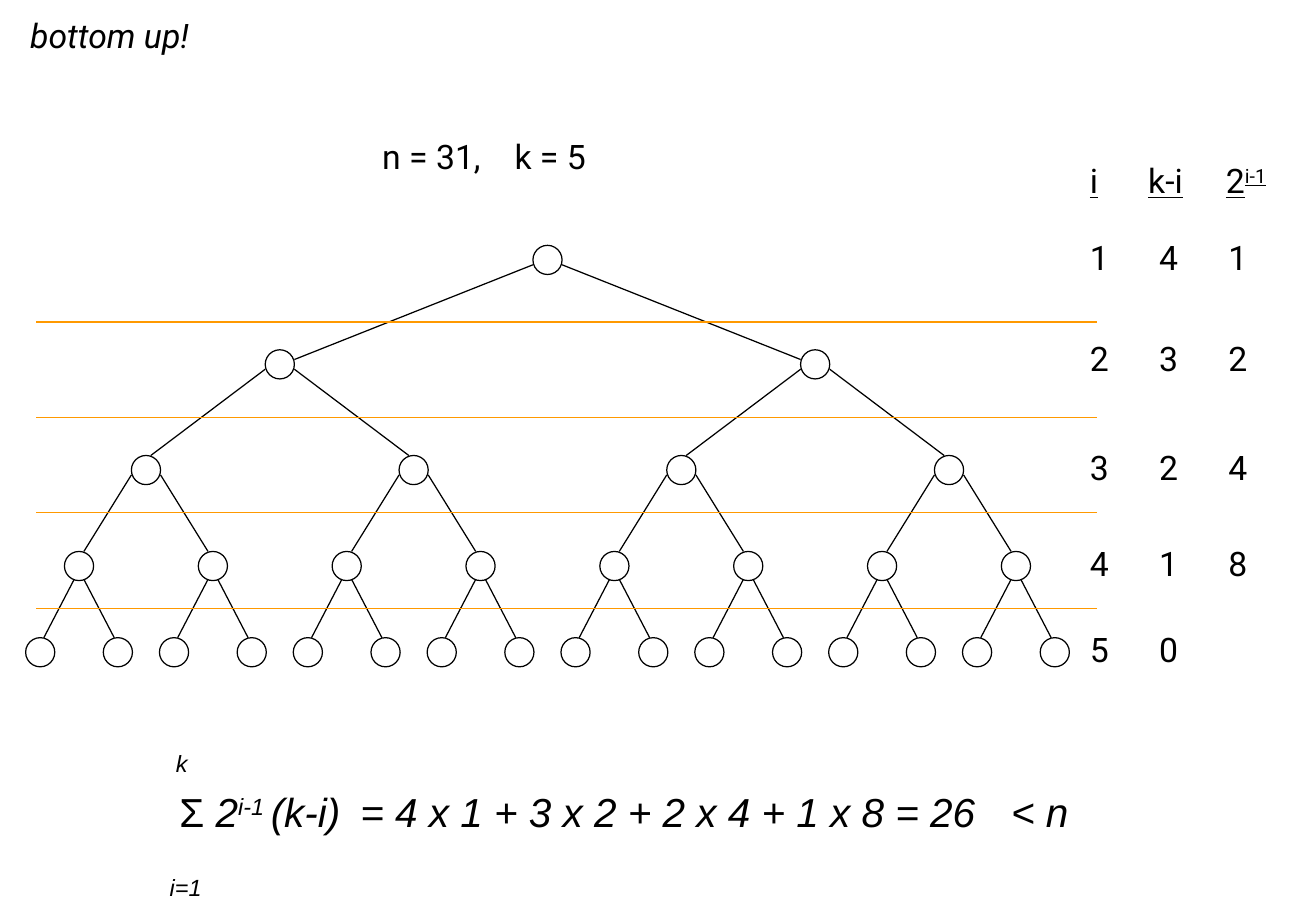
from dataclasses import dataclass

from lxml import etree
from pptx import Presentation, util as u
from pptx.dml.color import RGBColor
from pptx.enum import shapes, text
from pptx.oxml import ns

PX = 9144  # 100 px to the inch


@dataclass(frozen=True)
class Theme:
    ink: RGBColor = RGBColor(0, 0, 0)
    divider: RGBColor = RGBColor(0xFF, 0x99, 0x00)
    line_pt: float = 0.75
    body_font: str = "Roboto"
    formula_font: str = "Arial"
    body_pt: int = 20
    formula_pt: int = 24


@dataclass(frozen=True)
class Level:
    """One row of the tree; joints are offsets from a node's centre and top."""
    top: int
    exit_dx: int = 0
    exit_dy: int = 0
    enter_dx: int = 0
    enter_dy: int = 0


@dataclass(frozen=True)
class Run:
    words: str
    italic: bool = False
    underline: bool = False
    baseline: int = 0


@dataclass(frozen=True)
class Para:
    runs: tuple[Run, ...]
    tabs: tuple[int, ...] = ()
    before_pt: int = 0


@dataclass(frozen=True)
class Box:
    left: int
    top: int
    width: int
    height: int
    paras: tuple[Para, ...]
    font: str
    size: int


THEME = Theme()
NODE = 24
ROOT_X, TREE_SPAN, LEAF_DX = 451, 882, 32
LEVELS = (
    Level(202, exit_dx=12, exit_dy=16),
    Level(288, exit_dx=12, exit_dy=16, enter_dx=12, enter_dy=8),
    Level(375, exit_dx=12, exit_dy=16, enter_dx=4),
    Level(454, exit_dx=4, exit_dy=23, enter_dx=4),
    Level(525, enter_dx=3),
)
DIVIDER_YS = (265, 344, 422, 501)
COLUMN_TABS = (57, 114)
ROW_TOPS = (190, 273, 363, 442, 513)


def px(n: float) -> u.Emu:
    return u.Emu(round(n * PX))


def add_line(s, x1: float, y1: float, x2: float, y2: float, color: RGBColor) -> None:
    c = s.shapes.add_connector(shapes.MSO_CONNECTOR.STRAIGHT, px(x1), px(y1), px(x2), px(y2))
    c.line.color.rgb = color
    c.line.width = u.Pt(THEME.line_pt)
    etree.SubElement(c._element.spPr, ns.qn("a:effectLst"))


def add_node(s, cx: float, top: int) -> None:
    sp = s.shapes.add_shape(shapes.MSO_SHAPE.OVAL, px(cx - NODE / 2), px(top), px(NODE), px(NODE))
    sp.shadow.inherit = False
    sp.fill.background()
    sp.line.color.rgb = THEME.ink
    sp.line.width = u.Pt(THEME.line_pt)


def add_subtree(s, cx: float, depth: int = 0) -> None:
    level = LEVELS[depth]
    add_node(s, cx, level.top)
    if depth + 1 == len(LEVELS):
        return
    child = LEVELS[depth + 1]
    is_leaf = depth + 2 == len(LEVELS)
    spread = LEAF_DX if is_leaf else TREE_SPAN / 2 ** (depth + 2)
    for side in (-1, 1):
        child_x = cx + side * spread
        add_line(s, cx + side * level.exit_dx, level.top + level.exit_dy,
                 child_x - side * child.enter_dx, child.top + child.enter_dy, THEME.ink)
        add_subtree(s, child_x, depth + 1)


def add_tabs(p, tabs: tuple[int, ...]) -> None:
    tab_list = etree.SubElement(p._p.get_or_add_pPr(), ns.qn("a:tabLst"))
    for pos in tabs:
        etree.SubElement(tab_list, ns.qn("a:tab"), pos=str(px(pos)), algn="l")


def add_text(s, box: Box) -> None:
    sp = s.shapes.add_textbox(px(box.left), px(box.top), px(box.width), px(box.height))
    tf = sp.text_frame
    tf.word_wrap = True
    tf.vertical_anchor = text.MSO_ANCHOR.TOP
    for i, para in enumerate(box.paras):
        p = tf.add_paragraph() if i else tf.paragraphs[0]
        if para.tabs:
            add_tabs(p, para.tabs)
        if para.before_pt:
            p.space_before = u.Pt(para.before_pt)
        for run in para.runs:
            r = p.add_run()
            r.text = run.words
            r.font.name = box.font
            r.font.size = u.Pt(box.size)
            r.font.color.rgb = THEME.ink
            r.font.italic = run.italic
            r.font.underline = run.underline
            if run.baseline:
                r.font._element.set("baseline", str(run.baseline * 1000))


def body_box(left: int, top: int, width: int, *runs: Run, tabs: tuple[int, ...] = ()) -> Box:
    return Box(left, top, width, 44, (Para(runs, tabs),), THEME.body_font, THEME.body_pt)


def main() -> None:
    prs = Presentation()
    prs.slide_width, prs.slide_height = px(1084), px(750)
    s = prs.slides.add_slide(prs.slide_layouts[6])

    # Tree and level dividers
    add_subtree(s, ROOT_X)
    for y in DIVIDER_YS:
        add_line(s, 30, y, 904, y, THEME.divider)

    # Headings
    add_text(s, body_box(15, 7, 157, Run("bottom up!", italic=True)))
    add_text(s, body_box(305, 107, 434, Run("n = 31,\tk = 5"), tabs=(109,)))

    # Level counts beside the tree
    add_text(s, body_box(888, 127, 180, Run("i\tk-i\t2", underline=True),
                         Run("i-1", underline=True, baseline=30), tabs=(48, 112)))
    last = len(LEVELS)
    for i, top in enumerate(ROW_TOPS, start=1):
        cells = [i, last - i] + ([2 ** (i - 1)] if i < last else [])
        add_text(s, body_box(888, top, 154, Run("\t".join(map(str, cells))), tabs=COLUMN_TABS))

    # Sum formula
    formula = (
        Para((Run("\tk", italic=True, baseline=-25),), (66,)),
        Para((Run("\tΣ"), Run(" 2", italic=True), Run("i-1 ", italic=True, baseline=30),
              Run("(k-i)\t= 4 x 1 + 3 x 2 + 2 x 4 + 1 x 8 = 26\t< n", italic=True)),
             (69, 218, 754), before_pt=6),
        Para((Run("\ti=1", italic=True, baseline=-25),), (61,), before_pt=6),
    )
    add_text(s, Box(69, 589, 874, 158, formula, THEME.formula_font, THEME.formula_pt))

    prs.save("out.pptx")


if __name__ == "__main__":
    main()
